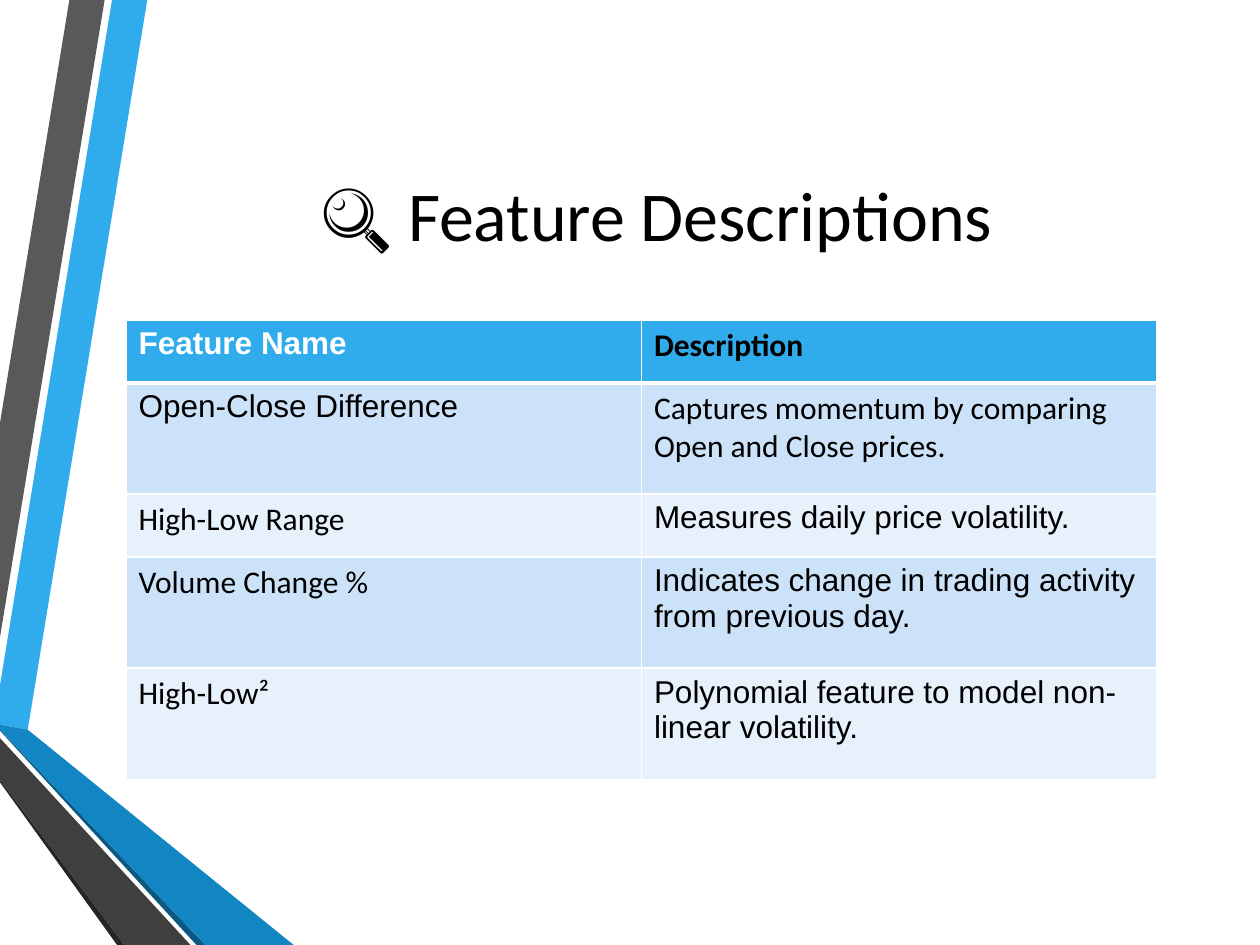
from lxml.etree import SubElement
from pptx import Presentation
from pptx.dml.color import RGBColor
from pptx.enum.text import MSO_ANCHOR, PP_ALIGN
from pptx.oxml.ns import qn
from pptx.util import Cm, Pt

BLUE = "30ACEC"
BLACK = "000000"
WHITE = "FFFFFF"
ROW_FILLS = ["CCE2F8", "E7F1FB"]

RIBBONS = [
    (BLUE, [(0, 13.82), (0, 14.61), (0.56, 14.71), (2.97, 0), (2.26, 0)]),
    ("595959", [(2.11, 0), (1.4, 0), (0, 8.53), (0, 12.85)]),
    ("262626", [(0, 15.72), (0, 15.77), (2.36, 19.05), (2.51, 19.05)]),
    ("0B5982", [(0, 14.71), (0, 14.73), (3.96, 19.05), (4.14, 19.05)]),
    ("1186C3", [(0, 14.71), (4.14, 19.05), (5.92, 19.05), (0.56, 14.71), (0, 14.61)]),
    ("3F3F3F", [(0, 15.72), (2.51, 19.05), (3.84, 19.05), (0, 14.88)]),
]

ROW_HEIGHTS = [1.27, 2.24, 1.27, 2.24, 2.24]
ROWS = [
    [("Feature Name", "Arial"), ("Description", "Calibri")],
    [("Open-Close Difference", "Arial"),
     ("Captures momentum by comparing Open and Close prices.", "Calibri")],
    [("High-Low Range", "Calibri"), ("Measures daily price volatility.", "Arial")],
    [("Volume Change %", "Calibri"),
     ("Indicates change in trading activity from previous day.", "Arial")],
    [("High-Low²", "Calibri"),
     ("Polynomial feature to model non-linear volatility.", "Arial")],
]


def color(value):
    return RGBColor.from_string(value)


def format_text(frame, font, size, ink, bold=False):
    for para in frame.paragraphs:
        for span in para.runs:
            span.font.name = font
            span.font.size = Pt(size)
            span.font.bold = bold
            span.font.color.rgb = color(ink)


def add_ribbon(page, fill, points):
    corners = [(Cm(x), Cm(y)) for x, y in points]
    builder = page.shapes.build_freeform(*corners[0])
    builder.add_line_segments(corners[1:], close=True)
    ribbon = builder.convert_to_shape()
    ribbon.shadow.inherit = False
    ribbon.fill.solid()
    ribbon.fill.fore_color.rgb = color(fill)
    ribbon.line.fill.background()


def format_title(page, text):
    title = page.shapes.title
    title.left, title.top = Cm(2.54), Cm(1.55)
    title.width, title.height = Cm(21.41), Cm(5.51)
    frame = title.text_frame
    frame.text = text
    frame.vertical_anchor = MSO_ANCHOR.MIDDLE
    frame.paragraphs[0].alignment = PP_ALIGN.CENTER
    format_text(frame, "Calibri", 40, BLACK)


def add_borders(cell, widths):
    properties = cell._tc.get_or_add_tcPr()
    for index, (side, width) in enumerate(widths.items()):
        border = properties.makeelement(qn(f"a:{side}"), {"w": str(Pt(width))})
        fill = SubElement(border, qn("a:solidFill"))
        SubElement(fill, qn("a:srgbClr"), val=WHITE)
        properties.insert(index, border)


def add_feature_table(page):
    frame = page.shapes.add_table(
        len(ROWS), 2, Cm(2.54), Cm(6.45), Cm(20.78), Cm(sum(ROW_HEIGHTS)))
    table = frame.table
    for column in table.columns:
        column.width = Cm(10.39)
    for row_index, entries in enumerate(ROWS):
        table.rows[row_index].height = Cm(ROW_HEIGHTS[row_index])
        header = row_index == 0
        fill = BLUE if header else ROW_FILLS[(row_index - 1) % 2]
        top = 3 if row_index == 1 else 1
        bottom = 3 if header else 1
        for column_index, (text, font) in enumerate(entries):
            cell = table.cell(row_index, column_index)
            cell.text_frame.text = text
            ink = WHITE if header and column_index == 0 else BLACK
            format_text(cell.text_frame, font, 18, ink, header)
            cell.fill.solid()
            cell.fill.fore_color.rgb = color(fill)
            add_borders(cell, {"lnL": 1, "lnR": 1, "lnT": top, "lnB": bottom})


def main():
    deck = Presentation()
    deck.slide_width, deck.slide_height = Cm(25.4), Cm(19.05)
    page = deck.slides.add_slide(deck.slide_layouts[5])
    for fill, points in RIBBONS:
        add_ribbon(page, fill, points)
    format_title(page, "🔍 Feature Descriptions")
    add_feature_table(page)
    deck.save("out.pptx")


if __name__ == "__main__":
    main()
